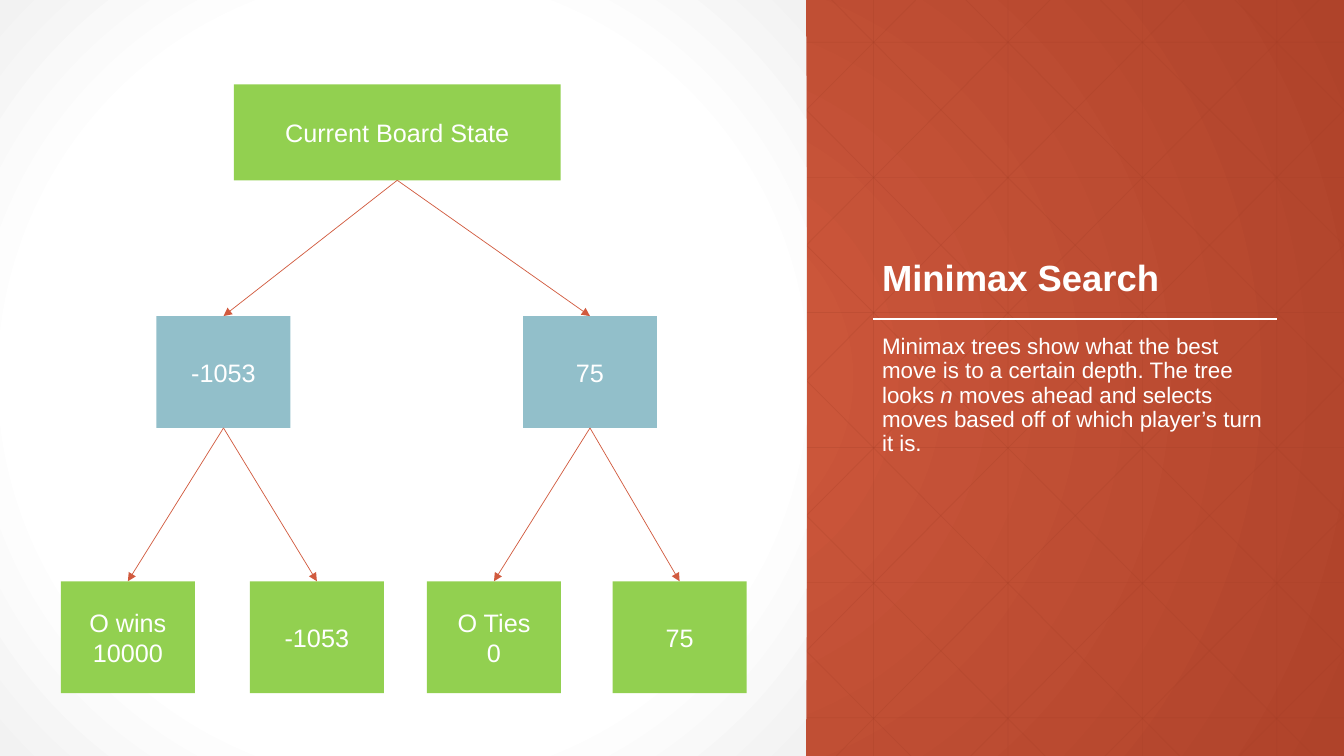
from dataclasses import dataclass

from lxml import etree
from pptx import Presentation
from pptx import util as u
from pptx.dml.color import RGBColor
from pptx.enum import shapes, text
from pptx.oxml.ns import qn

WIDTH, HEIGHT = 960, 540
PANEL_WIDTH = 576
GRID_STEP = 96
DIAGONAL_RUN = 536.6  # horizontal reach of a diagonal over the full height


@dataclass(frozen=True)
class Theme:
    font: str = "Arial"
    white: str = "FFFFFF"
    panel_edge: str = "F2F2F2"
    red: str = "D15A3E"
    dark_red: str = "AF432A"
    grid: str = "A43F27"
    green: str = "92D050"
    blue: str = "92BFCA"
    title_size: float = 26
    body_size: float = 16
    node_size: float = 18


def points(*lengths):
    return [u.Pt(length) for length in lengths]


def write_text(frame, paragraphs, *, theme, size, bold=False, align=text.PP_ALIGN.LEFT,
               anchor=text.MSO_ANCHOR.TOP, line_spacing=None, space_before=None):
    """Fill a frame; each paragraph is a list of (wording, italic) runs."""
    frame.word_wrap = True
    frame.vertical_anchor = anchor
    for index, runs in enumerate(paragraphs):
        paragraph = frame.add_paragraph() if index else frame.paragraphs[0]
        paragraph.alignment = align
        paragraph.line_spacing = line_spacing
        if space_before is not None:
            paragraph.space_before = u.Pt(space_before)
        for wording, italic in runs:
            run = paragraph.add_run()
            run.text = wording
            run.font.name = theme.font
            run.font.size = u.Pt(size)
            run.font.bold = bold
            run.font.italic = italic
            run.font.color.rgb = RGBColor.from_string(theme.white)


class SlideBuilder:
    def __init__(self, slide, theme):
        self.slide = slide
        self.theme = theme

    def radial_fill(self, owner, fill, stops):
        """Give the owner's fill a circular gradient from its centre outwards."""
        fill.gradient()
        gradient = owner.element.find(".//" + qn("a:gradFill"))
        gradient.clear()
        stop_list = etree.SubElement(gradient, qn("a:gsLst"))
        for percent, color in stops:
            stop = etree.SubElement(stop_list, qn("a:gs"), pos=str(percent * 1000))
            etree.SubElement(stop, qn("a:srgbClr"), val=color)
        circle = etree.SubElement(gradient, qn("a:path"), {"path": "circle"})
        etree.SubElement(circle, qn("a:fillToRect"),
                         {side: "50000" for side in "ltrb"})

    def background(self, stops):
        self.radial_fill(self.slide, self.slide.background.fill, stops)

    def rectangle(self, left, top, width, height):
        shape = self.slide.shapes.add_shape(
            shapes.MSO_SHAPE.RECTANGLE, *points(left, top, width, height))
        shape.shadow.inherit = False
        shape.line.fill.background()
        return shape

    def panel(self, width, stops):
        shape = self.rectangle(0, 0, width, HEIGHT)
        self.radial_fill(shape, shape.fill, stops)

    def node(self, left, top, width, height, color, *lines):
        shape = self.rectangle(left, top, width, height)
        shape.fill.solid()
        shape.fill.fore_color.rgb = RGBColor.from_string(color)
        write_text(shape.text_frame, [[(line, False)] for line in lines],
                   theme=self.theme, size=self.theme.node_size,
                   align=text.PP_ALIGN.CENTER, anchor=text.MSO_ANCHOR.MIDDLE)
        return shape

    def line(self, start, end, color, weight, opacity=None):
        connector = self.slide.shapes.add_connector(
            shapes.MSO_CONNECTOR.STRAIGHT, *points(*start, *end))
        connector.line.width = u.Pt(weight)
        connector.line.color.rgb = RGBColor.from_string(color)
        properties = connector.element.spPr
        etree.SubElement(properties, qn("a:effectLst"))
        if opacity is not None:
            etree.SubElement(properties.find(".//" + qn("a:srgbClr")), qn("a:alpha"),
                             val=str(opacity * 1000))
        return connector

    def arrow(self, parent, child):
        """Point from the parent's bottom centre to the child's top centre."""
        connector = self.line((0, 0), (0, 0), self.theme.red, 0.5)
        connector.begin_connect(parent, 2)
        connector.end_connect(child, 0)
        outline = connector.element.spPr.find(qn("a:ln"))
        etree.SubElement(outline, qn("a:tailEnd"), type="triangle")

    def text_box(self, left, top, width, height, runs, **text_format):
        box = self.slide.shapes.add_textbox(*points(left, top, width, height))
        write_text(box.text_frame, [runs], theme=self.theme, line_spacing=0.9,
                   **text_format)


def clipped_diagonal(top_x, bottom_x):
    """Return the ends of a full-height diagonal, cut at the slide's right edge."""
    def height_at_edge():
        return HEIGHT * (WIDTH - top_x) / (bottom_x - top_x)

    start = (top_x, 0) if top_x <= WIDTH else (WIDTH, height_at_edge())
    end = (bottom_x, HEIGHT) if bottom_x <= WIDTH else (WIDTH, height_at_edge())
    return start, end


def draw_grid(builder):
    ends = [((x, 0), (x, HEIGHT)) for x in range(624, WIDTH, GRID_STEP)]
    ends += [((0, 30.24 + 96.48 * row), (WIDTH, 30.24 + 96.48 * row)) for row in range(6)]
    for index in range(9):
        falling_x = 114 + GRID_STEP * index
        rising_x = 654 + GRID_STEP * index
        ends.append(clipped_diagonal(falling_x, falling_x + DIAGONAL_RUN))
        ends.append(clipped_diagonal(rising_x, rising_x - DIAGONAL_RUN))
    for start, end in ends:
        builder.line(start, end, builder.theme.grid, 0.5, opacity=25)


def draw_tree(builder):
    theme = builder.theme
    root = builder.node(167, 60.2, 233.5, 68.6, theme.green, "Current Board State")
    branches = [
        (111.8, "-1053", [(43.5, ["O wins", "10000"]), (178.5, ["-1053"])]),
        (373.6, "75", [(305, ["O Ties", "0"]), (437.6, ["75"])]),
    ]
    links = []
    for left, score, leaves in branches:
        branch = builder.node(left, 225.8, 95.7, 79.9, theme.blue, score)
        links.append((root, branch))
        for leaf_left, lines in leaves:
            leaf = builder.node(leaf_left, 415.2, 95.7, 79.9, theme.green, *lines)
            links.append((branch, leaf))
    for parent, child in links:
        builder.arrow(parent, child)


def main():
    presentation = Presentation()
    presentation.slide_width, presentation.slide_height = points(WIDTH, HEIGHT)
    theme = Theme()
    builder = SlideBuilder(
        presentation.slides.add_slide(presentation.slide_layouts[6]), theme)

    builder.background([(0, theme.red), (100, theme.dark_red)])
    draw_grid(builder)
    builder.panel(PANEL_WIDTH, [(0, theme.white), (69, theme.white),
                                (100, theme.panel_edge)])
    builder.line((623.5, 228), (912, 228), theme.white, 1.5)
    builder.text_box(623, 44.6, 288, 173, [("Minimax Search", False)],
                     size=theme.title_size, bold=True, anchor=text.MSO_ANCHOR.BOTTOM)
    builder.text_box(
        623, 236, 288, 180,
        [("Minimax trees show what the best move is to a certain depth. The tree looks ", False),
         ("n", True),
         (" moves ahead and selects moves based off of which player’s turn it is.", False)],
        size=theme.body_size, space_before=12)
    draw_tree(builder)
    presentation.save("out.pptx")


if __name__ == "__main__":
    main()
